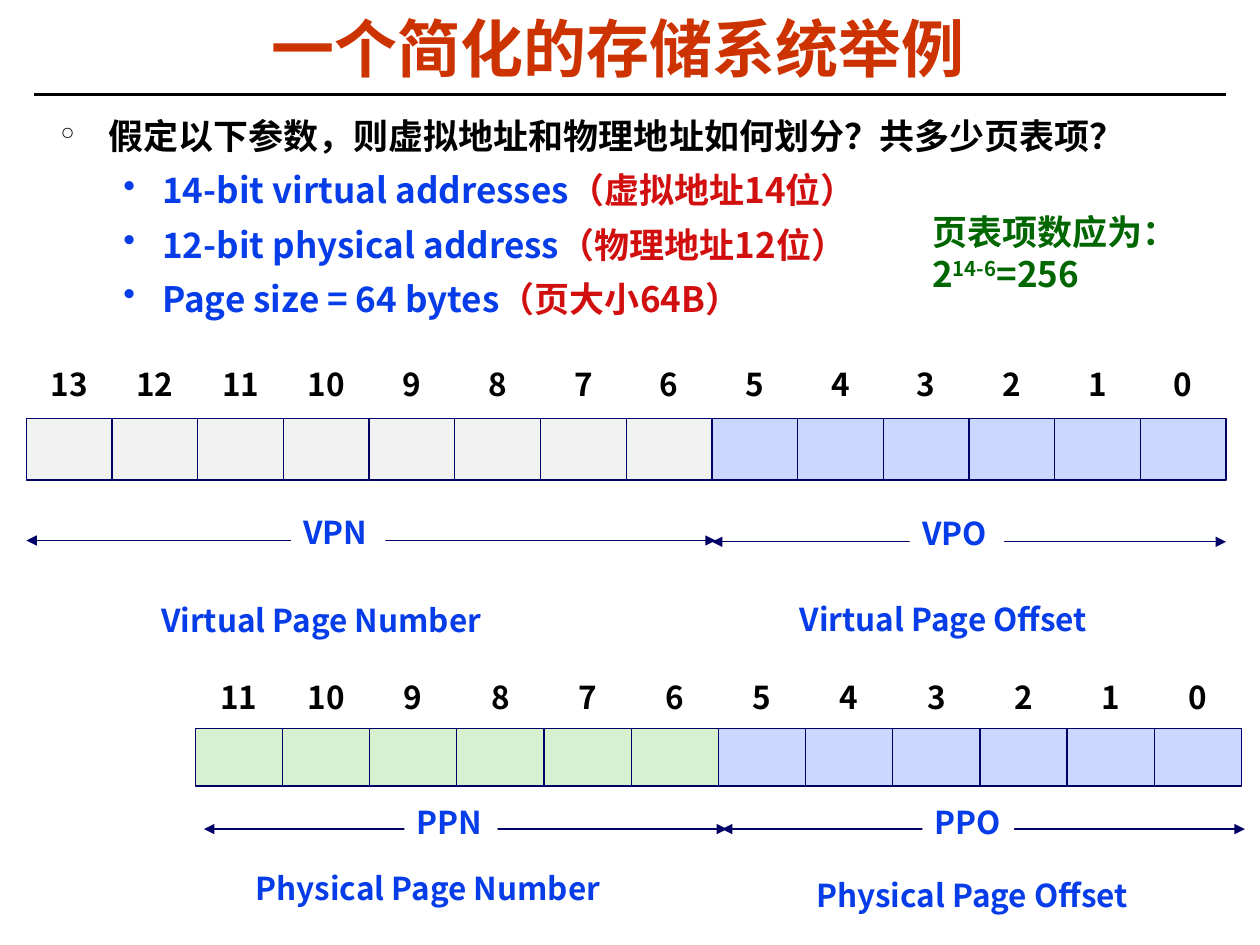
import pptx
import pptx.util
import pptx.dml.color
import pptx.enum.shapes
import pptx.enum.text
import pptx.oxml.ns
import lxml.etree

RGBColor = pptx.dml.color.RGBColor
BLACK = RGBColor(0x00, 0x00, 0x00)
WHITE = RGBColor(0xFF, 0xFF, 0xFF)
RUST = RGBColor(0xCC, 0x33, 0x00)
BLUE = RGBColor(0x06, 0x3D, 0xE8)
RED = RGBColor(0xD1, 0x0F, 0x0F)
GREEN = RGBColor(0x00, 0x66, 0x00)
NAVY = RGBColor(0x00, 0x00, 0x66)
GRAY = RGBColor(0xF2, 0xF2, 0xF2)
MINT = RGBColor(0xD5, 0xF1, 0xCF)
SKY = RGBColor(0xCA, 0xD7, 0xFE)

WIDTH = pptx.util.Inches(10)
HEIGHT = pptx.util.Inches(7.5)
COL = WIDTH / 100
ROW = HEIGHT / 75
FACE = "Noto Sans CJK SC"
OFFSET = 6

Pt = pptx.util.Pt
Align = pptx.enum.text.PP_ALIGN
Anchor = pptx.enum.text.MSO_ANCHOR
Shape = pptx.enum.shapes.MSO_SHAPE
qn = pptx.oxml.ns.qn


def grid(*spans):
    return [round(span * (ROW if i % 2 else COL)) for i, span in enumerate(spans)]


def apply(item, values):
    for key, value in values.items():
        setattr(item, key, value)


def add_run(para, text, size, color, face=FACE, base=0):
    run = para.add_run()
    run.text = text
    apply(run.font, {"size": Pt(size), "bold": True, "name": face})
    run.font.color.rgb = color
    props = run._r.get_or_add_rPr()
    lxml.etree.SubElement(props, qn("a:ea")).set("typeface", FACE)
    if base:
        props.set("baseline", str(base * 1000))


def add_text(pool, area, text, color, align=Align.LEFT, anchor=Anchor.TOP,
             fill=None, wrap=False):
    box = pool.add_textbox(*grid(*area))
    if fill is not None:
        box.fill.solid()
        box.fill.fore_color.rgb = fill
    apply(box.text_frame, {"word_wrap": wrap, "vertical_anchor": anchor})
    para = box.text_frame.paragraphs[0]
    apply(para, {"alignment": align, "line_spacing": 0.88})
    add_run(para, text, 18, color)


def add_cell(pool, area, color):
    cell = pool.add_shape(Shape.RECTANGLE, *grid(*area))
    cell.shadow.inherit = False
    cell.fill.solid()
    cell.fill.fore_color.rgb = color
    cell.line.color.rgb = NAVY
    cell.line.width = Pt(0.75)


def add_line(pool, left, right, row, color, width, arrows=True):
    kind = pptx.enum.shapes.MSO_CONNECTOR.STRAIGHT
    line = pool.add_connector(kind, *grid(left, row, right, row))
    line.line.color.rgb = color
    line.line.width = Pt(width)
    props = line._element.spPr
    if arrows:
        for end in ("a:headEnd", "a:tailEnd"):
            lxml.etree.SubElement(props.find(qn("a:ln")), qn(end)).set("type", "triangle")
    lxml.etree.SubElement(props, qn("a:effectLst"))


def add_bits(pool, left, top, wide, high, gap, count, color):
    for i in range(count):
        bit = count - 1 - i
        x = left + i * wide
        add_cell(pool, (x, top, wide, high), SKY if bit < OFFSET else color)
        add_text(pool, (x, top - gap, wide, high), str(bit), BLACK,
                 Align.CENTER, Anchor.MIDDLE)


def add_span(pool, left, right, row, tag, area):
    add_line(pool, left, right, row, NAVY, 0.75)
    add_text(pool, area, tag, BLUE, fill=WHITE)


def add_title(slide):
    title = slide.shapes.title
    apply(title, dict(zip(("left", "top", "width", "height"),
                          grid(2.7, 1.1, 92.7, 6.2))))
    title.text_frame.vertical_anchor = Anchor.MIDDLE
    para = title.text_frame.paragraphs[0]
    apply(para, {"alignment": Align.CENTER, "line_spacing": 0.87})
    add_run(para, "一个简化的存储系统举例", 36, RUST, "Arial")


def add_item(para, level, parts):
    mark, left, hang = (("°", 3.8, 3.8), ("•", 8.1, 3.1))[level]
    props = para._p.get_or_add_pPr()
    props.set("marL", str(round(left * COL)))
    props.set("indent", str(round(-hang * COL)))
    lxml.etree.SubElement(props, qn("a:buChar")).set("char", mark)
    apply(para, {"level": level, "space_before": Pt(7 * level)})
    for text, color in parts:
        add_run(para, text, 20, color)


def add_body(pool):
    frame = pool.add_textbox(*grid(3.8, 8.6, 90.9, 17.8)).text_frame
    frame.word_wrap = True
    add_item(frame.paragraphs[0], 0,
             [("假定以下参数，则虚拟地址和物理地址如何划分？共多少页表项？", BLACK)])
    for term, note in (
        ("14-bit virtual addresses", "（虚拟地址14位）"),
        ("12-bit physical address", "（物理地址12位）"),
        ("Page size = 64 bytes", "（页大小64B）"),
    ):
        add_item(frame.add_paragraph(), 1, [(term, BLUE), (note, RED)])


def add_count(pool):
    frame = pool.add_textbox(*grid(73, 16.2, 22.2, 7.7)).text_frame
    frame.word_wrap = True
    for text, base in (("页表项数应为：2", 0), ("14-6", 30), ("=256", 0)):
        add_run(frame.paragraphs[0], text, 20, GREEN, base=base)


def add_virtual(pool):
    add_bits(pool, 2.1, 33.2, 6.8, 4.9, 5, 14, GRAY)
    add_span(pool, 56.5, 97.3, 43, "VPO", (72.2, 40.7, 7.5, 3.6))
    add_span(pool, 2.1, 56.8, 42.9, "VPN", (23.1, 40.6, 7.5, 3.6))
    add_text(pool, (11.8, 47.6, 28.1, 3.6), "Virtual Page Number", BLUE)
    add_text(pool, (62.5, 47.5, 25.6, 3.6), "Virtual Page Offset", BLUE)


def add_physical(pool):
    add_bits(pool, 15.5, 57.8, 6.92, 4.6, 4.6, 12, MINT)
    add_span(pool, 57.3, 98.8, 65.8, "PPO", (73.2, 63.6, 7.3, 3.6))
    add_span(pool, 16.2, 57.7, 65.8, "PPN", (32.1, 63.6, 7.4, 3.6))
    add_text(pool, (19.3, 68.9, 32.5, 3.6), "Physical Page Number", BLUE, wrap=True)
    add_text(pool, (63.4, 69.4, 27.5, 3.6), "Physical Page Offset", BLUE, Align.CENTER)


def main():
    deck = pptx.Presentation()
    apply(deck, {"slide_width": WIDTH, "slide_height": HEIGHT})
    slide = deck.slides.add_slide(deck.slide_layouts[5])
    pool = slide.shapes
    add_line(pool, 2.7, 97.3, 7.5, BLACK, 1.5, arrows=False)
    add_title(slide)
    add_body(pool)
    add_virtual(pool.add_group_shape().shapes)
    add_physical(pool.add_group_shape().shapes)
    add_count(pool)
    deck.save("out.pptx")


if __name__ == "__main__":
    main()
